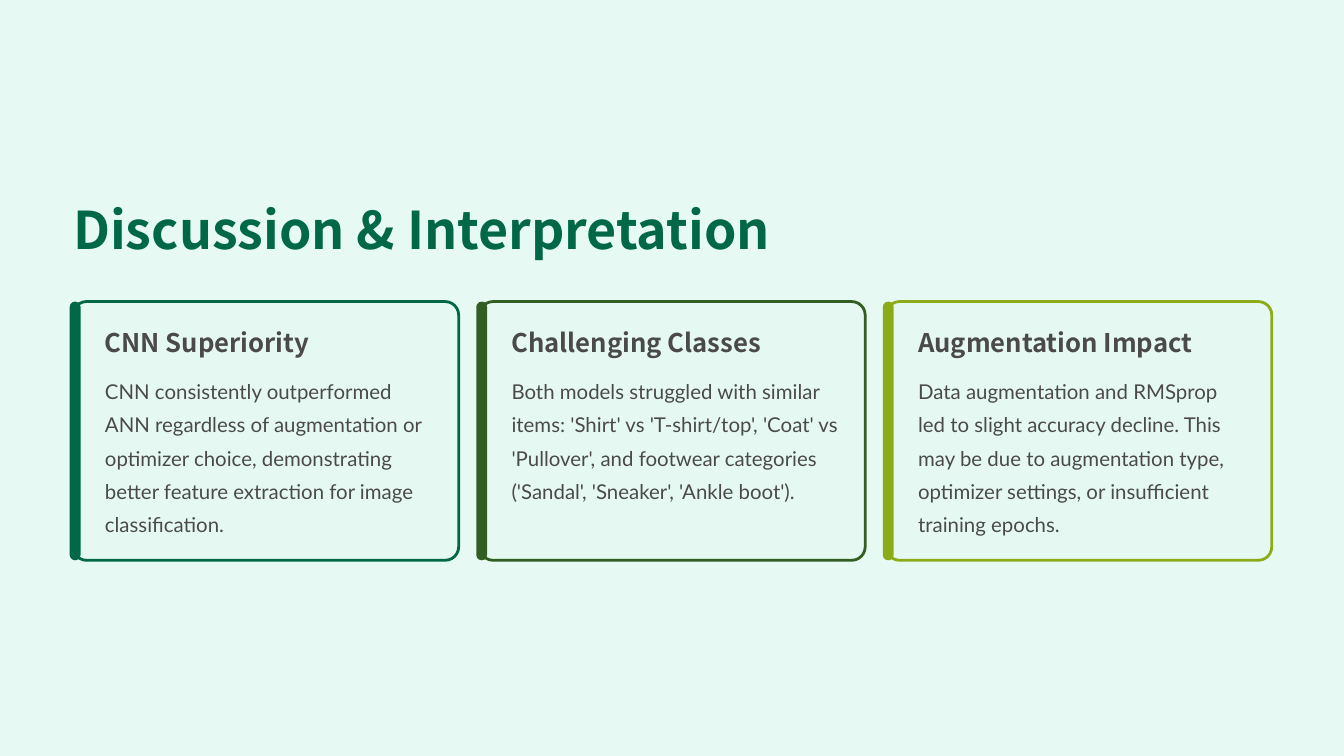
from dataclasses import dataclass

from lxml.etree import SubElement
from pptx import Presentation
from pptx.dml.color import RGBColor
from pptx.dml.fill import FillFormat
from pptx.enum.shapes import MSO_SHAPE
from pptx.enum.text import MSO_ANCHOR, PP_ALIGN
from pptx.oxml.ns import qn
from pptx.shapes.autoshape import Shape
from pptx.slide import Slide
from pptx.util import Inches, Pt

HEAD_FONT, BODY_FONT = "Noto Sans CJK SC", "Lato"
MINT, GREEN, GREY = "E5F9F2", "006747", "4B4A4A"

# Card grid, in inches
LEFT, TOP, PITCH = 0.87, 3.59, 4.84
CARD_W, CARD_H, BAR_W = 4.59, 3.08, 0.13
BAR_SHIFT, TEXT_INDENT, TEXT_W = -0.04, 0.38, 3.93


@dataclass
class Card:
    heading: str
    body: str
    color: str


@dataclass
class TextStyle:
    font: str
    size: float
    leading: float
    color: str
    bold: bool = False


TITLE = TextStyle(HEAD_FONT, 44.5, 55.5, GREEN, True)
HEADING = TextStyle(HEAD_FONT, 22, 27.5, GREY, True)
BODY = TextStyle(BODY_FONT, 17.5, 28.5, GREY)

CARDS = [
    Card("CNN Superiority",
         "CNN consistently outperformed ANN regardless of augmentation or optimizer "
         "choice, demonstrating better feature extraction for image classification.",
         GREEN),
    Card("Challenging Classes",
         "Both models struggled with similar items: 'Shirt' vs 'T-shirt/top', 'Coat' vs "
         "'Pullover', and footwear categories ('Sandal', 'Sneaker', 'Ankle boot').",
         "335E23"),
    Card("Augmentation Impact",
         "Data augmentation and RMSprop led to slight accuracy decline. This may be due to "
         "augmentation type, optimizer settings, or insufficient training epochs.",
         "8CAB18"),
]


def rgb(color: str) -> RGBColor:
    return RGBColor.from_string(color)


def paint(fill: FillFormat, color: str) -> None:
    fill.solid()
    fill.fore_color.rgb = rgb(color)


def set_text(sp: Shape, text: str, style: TextStyle) -> None:
    tf = sp.text_frame
    tf.text = text
    tf.word_wrap = True
    tf.vertical_anchor = MSO_ANCHOR.TOP
    tf.margin_left = tf.margin_right = tf.margin_top = tf.margin_bottom = 0
    p = tf.paragraphs[0]
    p.alignment = PP_ALIGN.LEFT
    p.line_spacing = Pt(style.leading)
    p.font.name = style.font
    p.font.size = Pt(style.size)
    p.font.bold = style.bold
    p.font.color.rgb = rgb(style.color)


def add_text(s: Slide, x: float, y: float, h: float, text: str, style: TextStyle) -> None:
    sp = s.shapes.add_textbox(Inches(x), Inches(y), Inches(TEXT_W), Inches(h))
    set_text(sp, text, style)


def add_rounded(s: Slide, x: float, w: float, radius: float, color: str) -> Shape:
    sp = s.shapes.add_shape(MSO_SHAPE.ROUNDED_RECTANGLE,
                            Inches(x), Inches(TOP), Inches(w), Inches(CARD_H))
    sp.adjustments[0] = radius
    sp.shadow.inherit = False
    paint(sp.fill, color)
    sp.line.fill.background()
    return sp


def add_card(s: Slide, x: float, card: Card) -> None:
    # Outlined panel with a slightly transparent fill
    panel = add_rounded(s, x, CARD_W, 0.052, MINT)
    color = panel.fill._xPr.find(qn("a:solidFill"))[0]
    SubElement(color, qn("a:alpha"), val="95000")
    paint(panel.line.fill, card.color)
    panel.line.width = Pt(2.4)

    # Accent bar and text
    add_rounded(s, x + BAR_SHIFT, BAR_W, 0.5, card.color)
    add_text(s, x + TEXT_INDENT, TOP + 0.29, 0.39, card.heading, HEADING)
    add_text(s, x + TEXT_INDENT, TOP + 0.82, 1.98, card.body, BODY)


def main() -> None:
    prs = Presentation()
    prs.slide_width, prs.slide_height = Inches(16), Inches(9)
    s = prs.slides.add_slide(prs.slide_layouts[5])
    paint(s.background.fill, "E6F9F3")

    # Title
    title = s.shapes.title
    title.left, title.top = Inches(LEFT), Inches(2.32)
    title.width, title.height = Inches(8.78), Inches(0.78)
    set_text(title, "Discussion & Interpretation", TITLE)

    # Cards
    for i, card in enumerate(CARDS):
        add_card(s, LEFT + i * PITCH, card)

    prs.save("out.pptx")


if __name__ == "__main__":
    main()
